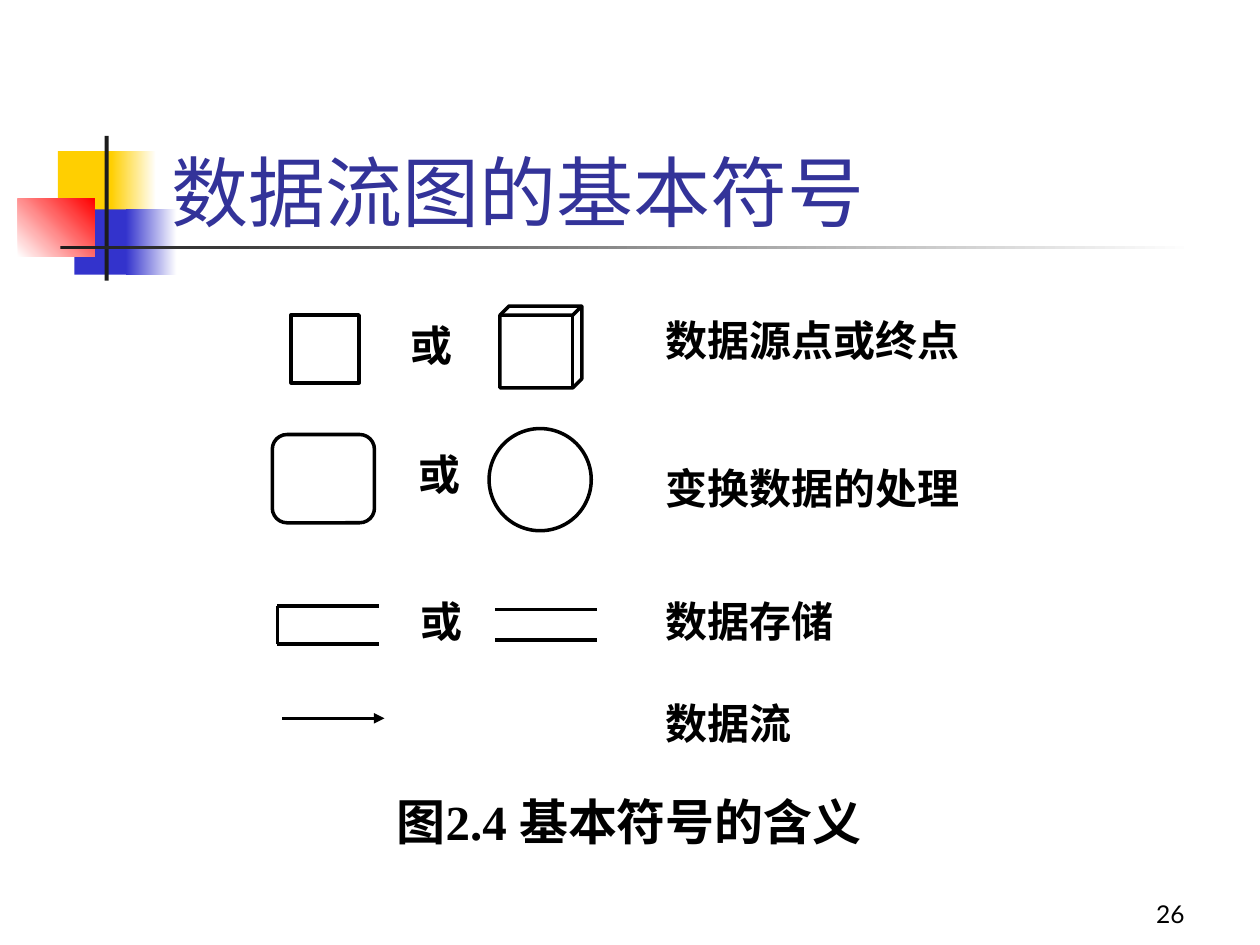
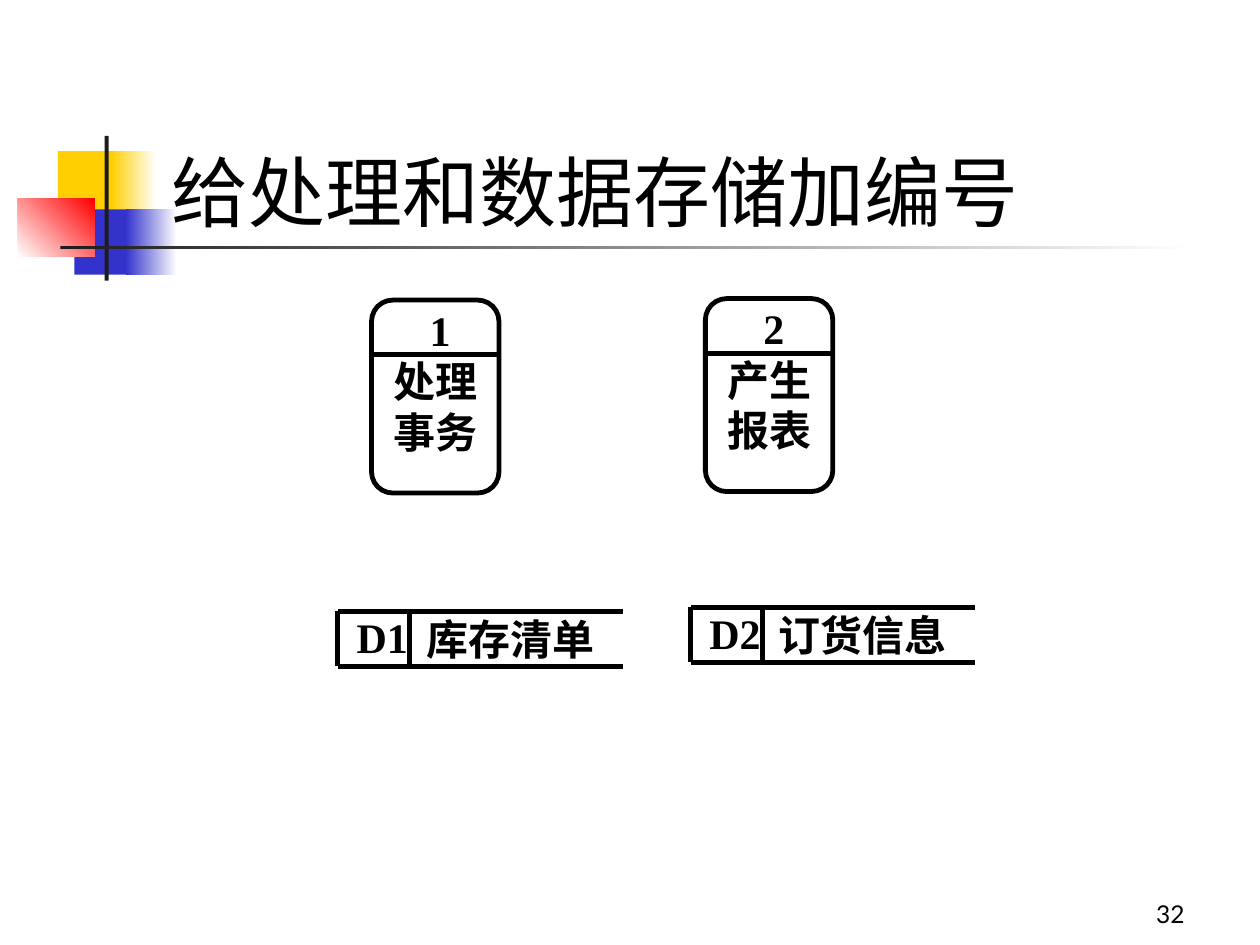
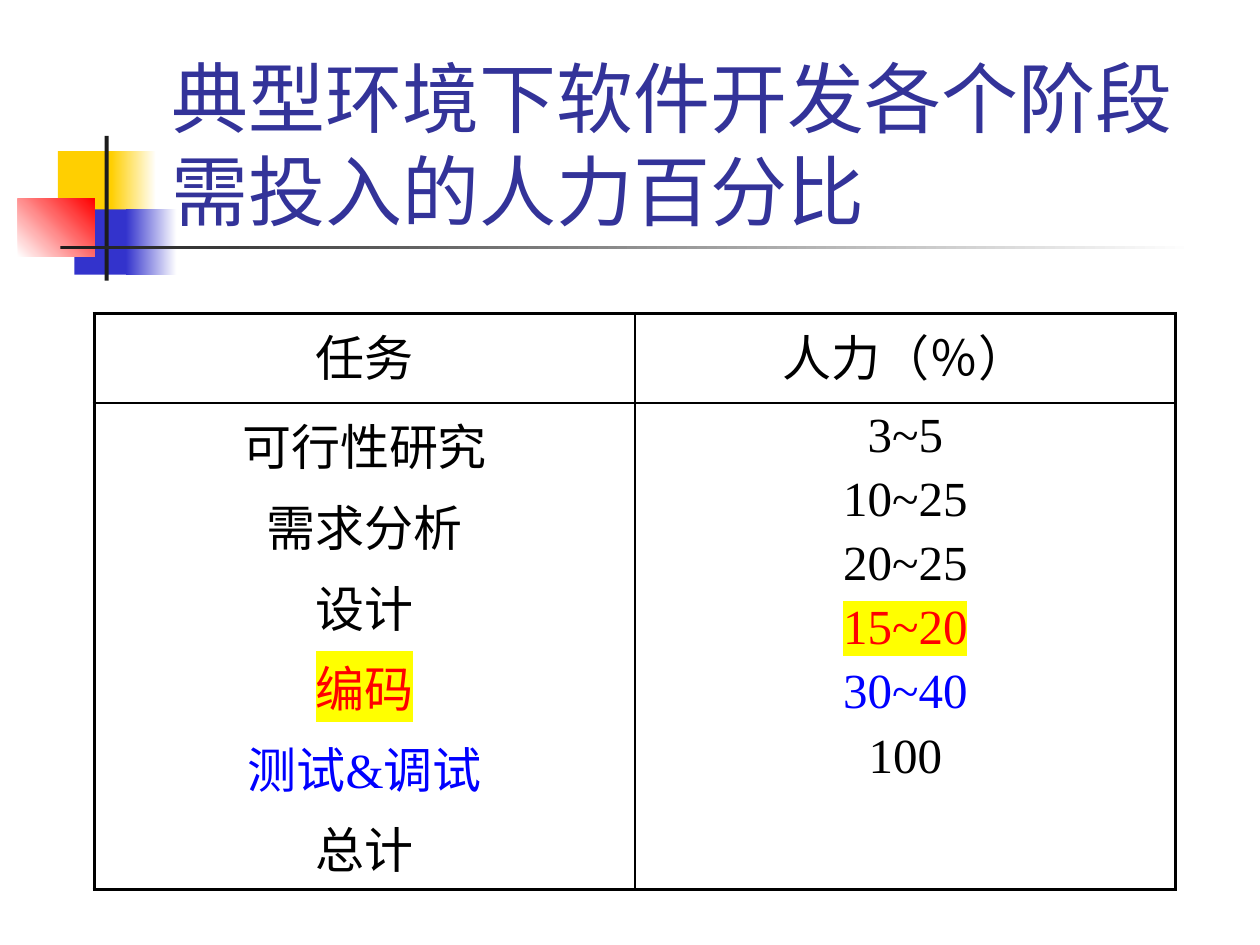
from dataclasses import dataclass

from lxml import etree
from pptx import Presentation
from pptx.dml.color import RGBColor
from pptx.enum.shapes import MSO_CONNECTOR, MSO_SHAPE
from pptx.enum.text import MSO_ANCHOR, MSO_AUTO_SIZE, PP_ALIGN
from pptx.oxml.ns import qn
from pptx.util import Cm, Pt

RECT = MSO_SHAPE.RECTANGLE
ROUNDED = MSO_SHAPE.ROUNDED_RECTANGLE
CUBE = MSO_SHAPE.CUBE
OVAL = MSO_SHAPE.OVAL
STRAIGHT = MSO_CONNECTOR.STRAIGHT
LEFT, CENTER, RIGHT = PP_ALIGN.LEFT, PP_ALIGN.CENTER, PP_ALIGN.RIGHT
TOP, BOTTOM = MSO_ANCHOR.TOP, MSO_ANCHOR.BOTTOM
NO_FIT = MSO_AUTO_SIZE.NONE


@dataclass(frozen=True)
class Theme:
    heading: str = "Lato"
    body: str = "Times New Roman"
    black: str = "000000"
    white: str = "FFFFFF"
    indigo: str = "333399"
    yellow: str = "FFCF01"
    blue: str = "3333CC"
    red: str = "FF0000"
    charcoal: str = "1C1C1C"
    marker: str = "FFFF00"
    accent: str = "0000FF"
    title_size: float = 44
    caption_size: float = 28
    label_size: float = 24
    page_size: float = 14
    thin: float = 1
    medium: float = 2
    frame: float = 2.25
    thick: float = 2.75


THEME = Theme()

MOTIF = [
    ((1.17, 3.05, 1.22, 1.32), (THEME.yellow,), 0),
    ((2.24, 3.05, 0.91, 1.32), (THEME.yellow, THEME.white), 0),
    ((1.5, 4.22, 1.17, 1.32), (THEME.blue,), 0),
    ((2.54, 4.22, 1.02, 1.32), (THEME.blue, THEME.white), 0),
    ((0.36, 4.01, 1.55, 1.17), (THEME.white, THEME.red), 45),
    ((2.11, 2.74, 0.08, 2.92), (THEME.charcoal,), 0),
    ((1.22, 4.95, 22.86, 0.08), (THEME.charcoal, THEME.white), 0),
]
TITLE_BOX = (3.2, 1.73, 21.64, 3.18)
TALL_TITLE_BOX = (3.2, 0.41, 21.64, 4.47)
PAGE_BOX = (18.85, 17.58, 5.28, 1.27)

SYMBOLS = [
    (RECT, (5.87, 6.35, 1.37, 1.37), None),
    (CUBE, (10.08, 6.17, 1.65, 1.65), 0.111),
    (ROUNDED, (5.49, 8.76, 2.06, 1.78), 0.167),
    (OVAL, (9.86, 8.64, 2.06, 2.06), None),
]
SYMBOL_LINES = [
    (5.59, 12.22, 7.65, 12.22),
    (5.59, 12.98, 7.65, 12.98),
    (5.59, 12.22, 5.59, 12.98),
    (9.98, 12.29, 12.04, 12.29),
    (9.98, 12.9, 12.04, 12.9),
]
FLOW_ARROW = (5.69, 14.48, 7.75, 14.48)
ALTERNATIVES = [(8.28, 6.45), (8.43, 9.04), (8.48, 12.01)]
MEANING_LEFT = 13.41
MEANINGS = [
    ("数据源点或终点", 6.35),
    ("变换数据的处理", 9.32),
    ("数据存储", 12.01),
    ("数据流", 14.07),
]
CAPTION = ("图2.4 基本符号的含义", (8, 15.95, 10.29, 1.19))

PROCESSES = [("1", "处理事务", 7.49, 6.05), ("2", "产生报表", 14.22, 6.02)]
STORES = [("D1", "库存清单", 6.81, 12.32), ("D2", "订货信息", 13.92, 12.24)]

EFFORT_HEADER = ("任务", "人力（％）")
EFFORT = [
    ("可行性研究", "3~5", THEME.black, None),
    ("需求分析", "10~25", THEME.black, None),
    ("设计", "20~25", THEME.black, None),
    ("编码", "15~20", THEME.red, THEME.marker),
    ("测试&调试", "30~40", THEME.accent, None),
    ("总计", "100", THEME.black, None),
]
EFFORT_BOX = (1.9, 6.32, 21.8, 10.5)
EFFORT_ROWS = (1.8, 8.7)


def lengths(values):
    return [Cm(value) for value in values]


def rgb(value):
    return RGBColor.from_string(value)


def add_span(para, text, size, font, color=THEME.black, bold=False, marker=None, asian=THEME.heading):
    span = para.add_run()
    span.text = text
    span.font.size = Pt(size)
    span.font.bold = bold
    span.font.color.rgb = rgb(color)
    span.font.name = font
    latin = span._r.get_or_add_rPr().find(qn("a:latin"))
    if marker:
        highlight = etree.Element(qn("a:highlight"))
        etree.SubElement(highlight, qn("a:srgbClr")).set("val", marker)
        latin.addprevious(highlight)
    if asian:
        east = etree.Element(qn("a:ea"))
        east.set("typeface", asian)
        latin.addnext(east)


def clear_margins(frame, top=0):
    frame.margin_left = frame.margin_right = frame.margin_bottom = 0
    frame.margin_top = Cm(top)


def add_label(slide, text, box, size=THEME.label_size):
    frame = slide.shapes.add_textbox(*lengths(box)).text_frame
    frame.word_wrap = True
    clear_margins(frame)
    add_span(frame.paragraphs[0], text, size, THEME.body, bold=True)


def add_outline(slide, kind, box, width, adjustment=None):
    shape = slide.shapes.add_shape(kind, *lengths(box))
    shape.shadow.inherit = False
    shape.fill.background()
    shape.line.color.rgb = rgb(THEME.black)
    shape.line.width = Pt(width)
    if adjustment is not None:
        shape.adjustments[0] = adjustment
    return shape


def add_line(slide, ends, width, arrow=False):
    line = slide.shapes.add_connector(STRAIGHT, *lengths(ends))
    line.line.color.rgb = rgb(THEME.black)
    line.line.width = Pt(width)
    properties = line.element.spPr
    if arrow:
        head = etree.SubElement(properties.find(qn("a:ln")), qn("a:tailEnd"))
        head.set("type", "triangle")
    etree.SubElement(properties, qn("a:effectLst"))


def add_motif(deck, slide):
    master_tree = deck.slide_master.shapes.element
    for index, (box, colors, angle) in enumerate(MOTIF):
        shape = slide.shapes.add_shape(RECT, *lengths(box))
        shape.shadow.inherit = False
        shape.line.fill.background()
        if len(colors) == 1:
            shape.fill.solid()
            shape.fill.fore_color.rgb = rgb(colors[0])
        else:
            shape.fill.gradient()
            shape.fill.gradient_angle = angle
            for stop, color in zip(shape.fill.gradient_stops, colors):
                stop.color.rgb = rgb(color)
        shape.element.nvSpPr.cNvPr.set("id", str(100 + index))
        master_tree.append(shape.element)


def add_slide(deck, title, color=THEME.indigo, box=TITLE_BOX, page=None):
    slide = deck.slides.add_slide(deck.slide_layouts[5])
    heading = slide.shapes.title
    heading.left, heading.top, heading.width, heading.height = lengths(box)
    frame = heading.text_frame
    frame.auto_size = NO_FIT
    frame.word_wrap = True
    frame.vertical_anchor = BOTTOM
    frame.paragraphs[0].alignment = LEFT
    add_span(frame.paragraphs[0], title, THEME.title_size, THEME.heading, color)
    if page:
        frame = slide.shapes.add_textbox(*lengths(PAGE_BOX)).text_frame
        frame.word_wrap = True
        frame.vertical_anchor = BOTTOM
        frame.paragraphs[0].alignment = RIGHT
        add_span(frame.paragraphs[0], page, THEME.page_size, THEME.heading)
    return slide


def build_symbols(slide):
    for kind, box, adjustment in SYMBOLS:
        add_outline(slide, kind, box, THEME.medium, adjustment)
    for ends in SYMBOL_LINES:
        add_line(slide, ends, THEME.medium)
    add_line(slide, FLOW_ARROW, THEME.medium, arrow=True)
    for left, top in ALTERNATIVES:
        add_label(slide, "或", (left, top, 1.7, 1.19))
    for text, top in MEANINGS:
        add_label(slide, text, (MEANING_LEFT, top, 7.54, 1.19))
    add_label(slide, *CAPTION, THEME.caption_size)


def add_process(slide, number, name, left, top):
    width, height, divider = 2.57, 3.89, 1.1
    shape = add_outline(slide, ROUNDED, (left, top, width, height), THEME.thick, 0.167)
    frame = shape.text_frame
    frame.word_wrap = True
    frame.vertical_anchor = TOP
    clear_margins(frame, top=1)
    frame.paragraphs[0].alignment = CENTER
    add_span(frame.paragraphs[0], name, THEME.label_size, THEME.body, bold=True)
    add_line(slide, (left, top + divider, left + width, top + divider), THEME.thick)
    add_label(slide, number, (left + 1.17, top + 0.08, 1.27, 1.12))


def add_store(slide, code, name, left, top):
    width, height, divider = 5.74, 1.11, 1.45
    for y in (top, top + height):
        add_line(slide, (left, y, left + width, y), THEME.thick)
    for x in (left, left + divider):
        add_line(slide, (x, top, x, top + height), THEME.thick)
    add_label(slide, code, (left + 0.38, top, 1.93, height))
    add_label(slide, name, (left + 1.78, top + 0.04, 4.47, height))


def set_borders(cell, widths):
    properties = cell._tc.get_or_add_tcPr()
    for index, (side, width) in enumerate(zip("LRTB", widths)):
        border = etree.Element(qn(f"a:ln{side}"))
        border.set("w", str(Pt(width)))
        fill = etree.SubElement(border, qn("a:solidFill"))
        etree.SubElement(fill, qn("a:srgbClr")).set("val", THEME.black)
        properties.insert(index, border)


def build_effort(slide):
    table = slide.shapes.add_table(2, 2, *lengths(EFFORT_BOX)).table
    table.first_row = table.horz_banding = False
    for row, height in zip(table.rows, EFFORT_ROWS):
        row.height = Cm(height)
    for column, heading in enumerate(EFFORT_HEADER):
        entries = [(line[column], line[2], line[3]) for line in EFFORT]
        for row, lines in enumerate([[(heading, THEME.black, None)], entries]):
            cell = table.cell(row, column)
            cell.fill.background()
            outer = (column == 0, column == 1, row == 0, row == 1)
            set_borders(cell, [THEME.frame if edge else THEME.thin for edge in outer])
            frame = cell.text_frame
            for index, (text, color, marker) in enumerate(lines):
                para = frame.add_paragraph() if index else frame.paragraphs[0]
                para.alignment = CENTER
                if index:
                    para.space_before = Pt(5.6)
                add_span(para, text, THEME.caption_size, THEME.body, color, marker=marker, asian=None)


def main():
    deck = Presentation()
    deck.slide_width, deck.slide_height = Cm(25.4), Cm(19.05)

    symbols = add_slide(deck, "数据流图的基本符号", page="26")
    add_motif(deck, symbols)
    build_symbols(symbols)

    numbering = add_slide(deck, "给处理和数据存储加编号", THEME.black, page="32")
    for process in PROCESSES:
        add_process(numbering, *process)
    for store in STORES:
        add_store(numbering, *store)

    effort = add_slide(deck, "典型环境下软件开发各个阶段需投入的人力百分比", box=TALL_TITLE_BOX)
    build_effort(effort)

    deck.save("out.pptx")


if __name__ == "__main__":
    main()
